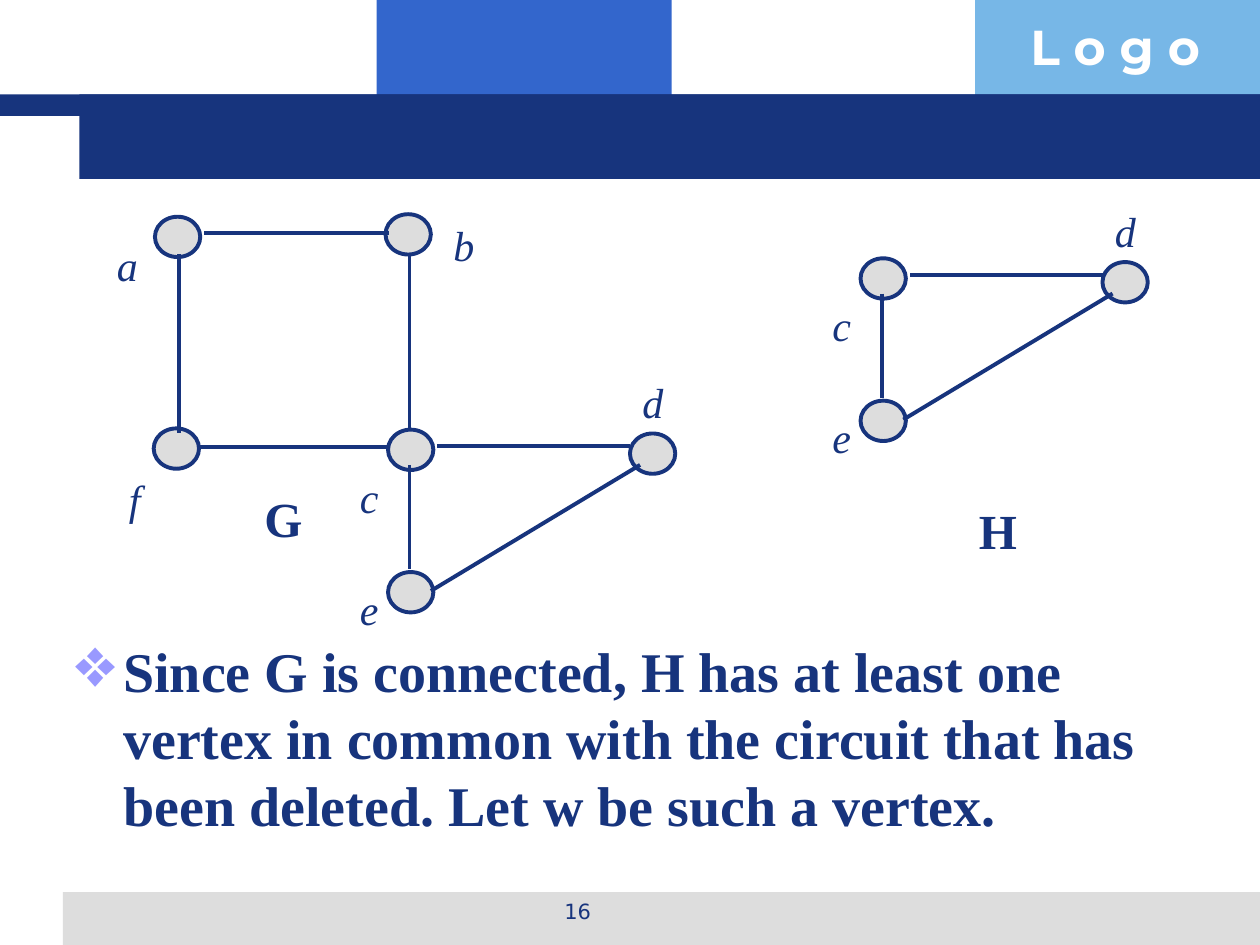
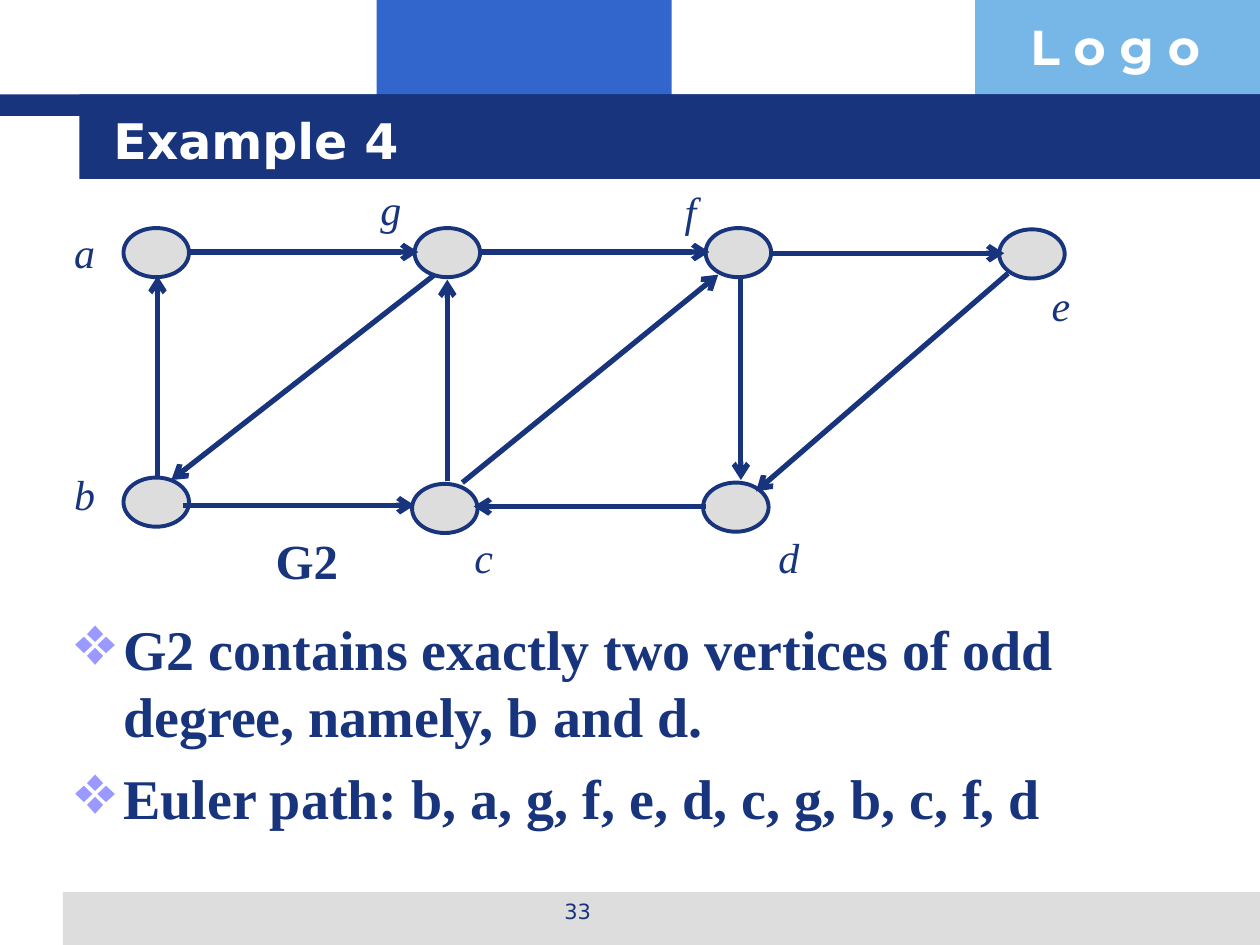
from dataclasses import dataclass

import pptx
import pptx.dml.color
import pptx.enum.shapes
import pptx.enum.text
import pptx.oxml.ns
import pptx.presentation
import pptx.shapes.autoshape
import pptx.slide
import pptx.text.text
import pptx.util
from lxml import etree

Inches = pptx.util.Inches
Pt = pptx.util.Pt
RGBColor = pptx.dml.color.RGBColor
Align = pptx.enum.text.PP_ALIGN
Anchor = pptx.enum.text.MSO_ANCHOR
AutoSize = pptx.enum.text.MSO_AUTO_SIZE
ShapeType = pptx.enum.shapes.MSO_SHAPE
qn = pptx.oxml.ns.qn

NAVY = RGBColor(0x17, 0x34, 0x7D)
BLUE = RGBColor(0x33, 0x66, 0xCC)
SKY = RGBColor(0x77, 0xB7, 0xE7)
GREY = RGBColor(0xDD, 0xDD, 0xDD)
LILAC = RGBColor(0x99, 0x99, 0xFF)
WHITE = RGBColor(0xFF, 0xFF, 0xFF)

SERIF = "Times New Roman"
SANS = "DejaVu Sans"
OUTLINE_WIDTH = 2.25
LABEL_WIDTH, LABEL_HEIGHT = 0.36, 0.5
CAPTION_WIDTH, CAPTION_HEIGHT = 0.9, 0.57
BODY_INDENT = Inches(0.38)


@dataclass(frozen=True)
class Box:
    left: float
    top: float
    width: float
    height: float

    def lengths(self) -> list[int]:
        return [Inches(value) for value in (self.left, self.top, self.width, self.height)]


@dataclass(frozen=True)
class TextStyle:
    font: str
    size: int
    color: RGBColor = NAVY
    bold: bool = False
    italic: bool = False


@dataclass(frozen=True)
class Band:
    box: Box
    color: RGBColor


@dataclass(frozen=True)
class Vertex:
    name: str
    left: float
    top: float
    label_left: float
    label_top: float


@dataclass(frozen=True)
class Edge:
    start_x: float
    start_y: float
    end_x: float
    end_y: float


@dataclass(frozen=True)
class Graph:
    vertices: list[Vertex]
    edges: list[Edge]
    vertex_width: float
    vertex_height: float
    edge_width: float = OUTLINE_WIDTH
    directed: bool = False


TITLE_STYLE = TextStyle(SANS, 28, WHITE, bold=True)
LOGO_STYLE = TextStyle("Montserrat", 28, WHITE, bold=True)
NUMBER_STYLE = TextStyle(SANS, 12)
BODY_STYLE = TextStyle(SERIF, 32, bold=True)
LABEL_STYLE = TextStyle(SERIF, 24, italic=True)
CAPTION_STYLE = TextStyle(SERIF, 28, bold=True)

BANDS = [
    Band(Box(2.99, 0, 2.34, 0.92), BLUE),
    Band(Box(7.74, 0, 2.26, 0.92), SKY),
    Band(Box(0.5, 7.08, 9.5, 0.42), GREY),
    Band(Box(0, 0.75, 10, 0.17), NAVY),
    Band(Box(0.63, 0.75, 9.37, 0.67), NAVY),
]

SQUARE = Graph(
    vertices=[
        Vertex("a", 1.23, 1.72, 0.83, 1.85),
        Vertex("b", 3.06, 1.70, 3.50, 1.69),
        Vertex("f", 1.22, 3.40, 0.89, 3.71),
    ],
    edges=[
        Edge(1.62, 1.85, 3.09, 1.85),
        Edge(3.25, 2.02, 3.25, 3.44),
        Edge(3.09, 3.55, 1.56, 3.55),
        Edge(1.42, 2.02, 1.42, 3.44),
    ],
    vertex_width=0.36,
    vertex_height=0.32,
)
TRIANGLE = Graph(
    vertices=[
        Vertex("c", 3.08, 3.41, 2.75, 3.69),
        Vertex("d", 5.00, 3.44, 5.00, 2.94),
        Vertex("e", 3.08, 4.54, 2.75, 4.58),
    ],
    edges=[
        Edge(5.08, 3.69, 3.42, 4.69),
        Edge(3.25, 3.69, 3.25, 4.52),
        Edge(5.00, 3.54, 3.47, 3.54),
    ],
    vertex_width=0.36,
    vertex_height=0.32,
)
H_SHIFT = (3.75, -1.36)

G2 = Graph(
    vertices=[
        Vertex("a", 0.98, 1.81, 0.49, 1.75),
        Vertex("b", 0.98, 3.79, 0.49, 3.67),
        Vertex("c", 3.27, 3.84, 3.66, 4.17),
        Vertex("d", 5.58, 3.83, 6.08, 4.17),
        Vertex("e", 7.93, 1.82, 8.24, 2.17),
        Vertex("f", 5.60, 1.81, 5.30, 1.42),
        Vertex("g", 3.29, 1.81, 2.92, 1.41),
    ],
    edges=[
        Edge(1.25, 3.79, 1.25, 2.19),
        Edge(1.49, 2.00, 3.32, 2.00),
        Edge(3.80, 2.00, 5.63, 2.00),
        Edge(6.13, 2.01, 7.97, 2.01),
        Edge(8.00, 2.17, 6.00, 3.90),
        Edge(5.60, 4.02, 3.76, 4.02),
        Edge(3.55, 3.82, 3.55, 2.22),
        Edge(3.45, 2.18, 1.36, 3.81),
        Edge(1.45, 4.01, 3.29, 4.01),
        Edge(3.67, 3.83, 5.70, 2.18),
        Edge(5.88, 2.21, 5.88, 3.81),
    ],
    vertex_width=0.52,
    vertex_height=0.39,
    edge_width=3,
    directed=True,
)


def add_run(paragraph: pptx.text.text._Paragraph, text: str, style: TextStyle) -> None:
    run = paragraph.add_run()
    run.text = text
    run.font.name = style.font
    run.font.size = Pt(style.size)
    run.font.bold = style.bold
    run.font.italic = style.italic
    run.font.color.rgb = style.color


def add_text(
    slide: pptx.slide.Slide,
    box: Box,
    text: str,
    style: TextStyle,
    alignment: Align = Align.LEFT,
    anchor: Anchor = Anchor.TOP,
    wrap: bool = True,
) -> pptx.shapes.autoshape.Shape:
    shape = slide.shapes.add_textbox(*box.lengths())
    frame = shape.text_frame
    frame.word_wrap = wrap
    frame.auto_size = AutoSize.NONE if wrap else AutoSize.SHAPE_TO_FIT_TEXT
    frame.vertical_anchor = anchor
    frame.paragraphs[0].alignment = alignment
    add_run(frame.paragraphs[0], text, style)
    return shape


def add_filled_shape(
    slide: pptx.slide.Slide, kind: ShapeType, box: Box, color: RGBColor
) -> pptx.shapes.autoshape.Shape:
    shape = slide.shapes.add_shape(kind, *box.lengths())
    shape.shadow.inherit = False
    shape.fill.solid()
    shape.fill.fore_color.rgb = color
    shape.line.fill.background()
    return shape


def add_edge(slide: pptx.slide.Slide, edge: Edge, graph: Graph, shift: tuple[float, float]) -> None:
    connector = slide.shapes.add_connector(
        pptx.enum.shapes.MSO_CONNECTOR.STRAIGHT,
        Inches(edge.start_x + shift[0]),
        Inches(edge.start_y + shift[1]),
        Inches(edge.end_x + shift[0]),
        Inches(edge.end_y + shift[1]),
    )
    connector.line.color.rgb = NAVY
    connector.line.width = Pt(graph.edge_width)
    properties = connector.element.spPr
    if graph.directed:
        etree.SubElement(properties.find(qn("a:ln")), qn("a:tailEnd"), type="arrow")
    etree.SubElement(properties, qn("a:effectLst"))


def add_graph(
    slide: pptx.slide.Slide, graph: Graph, shift: tuple[float, float] = (0, 0)
) -> None:
    shift_x, shift_y = shift
    for vertex in graph.vertices:
        box = Box(
            vertex.left + shift_x, vertex.top + shift_y, graph.vertex_width, graph.vertex_height
        )
        ellipse = add_filled_shape(slide, ShapeType.OVAL, box, GREY)
        ellipse.line.color.rgb = NAVY
        ellipse.line.width = Pt(OUTLINE_WIDTH)
    for edge in graph.edges:
        add_edge(slide, edge, graph, shift)
    for vertex in graph.vertices:
        box = Box(
            vertex.label_left + shift_x, vertex.label_top + shift_y, LABEL_WIDTH, LABEL_HEIGHT
        )
        add_text(slide, box, vertex.name, LABEL_STYLE, Align.CENTER, Anchor.MIDDLE, wrap=False)


def add_caption(slide: pptx.slide.Slide, left: float, top: float, text: str) -> None:
    add_text(slide, Box(left, top, CAPTION_WIDTH, CAPTION_HEIGHT), text, CAPTION_STYLE)


def add_bullets(slide: pptx.slide.Slide, box: Box, items: list[str]) -> None:
    frame = slide.shapes.add_textbox(*box.lengths()).text_frame
    frame.word_wrap = True
    for index, item in enumerate(items):
        paragraph = frame.add_paragraph() if index else frame.paragraphs[0]
        properties = paragraph._p.get_or_add_pPr()
        properties.set("marL", str(BODY_INDENT))
        properties.set("indent", str(-BODY_INDENT))
        bullet_color = etree.SubElement(properties, qn("a:buClr"))
        etree.SubElement(bullet_color, qn("a:srgbClr"), val=str(LILAC))
        etree.SubElement(properties, qn("a:buSzPct"), val="125000")
        etree.SubElement(properties, qn("a:buChar"), char="❖")
        if index:
            paragraph.space_before = Pt(8)
        add_run(paragraph, item, BODY_STYLE)


def move_bands_to_master(
    presentation: pptx.presentation.Presentation, slide: pptx.slide.Slide
) -> None:
    shapes = [add_filled_shape(slide, ShapeType.RECTANGLE, band.box, band.color) for band in BANDS]
    shapes.append(add_text(slide, Box(8.08, 0.08, 1.93, 0.57), "L o g o", LOGO_STYLE))
    master_tree = presentation.slide_master.element.cSld.spTree
    for identifier, shape in enumerate(shapes, start=100):
        shape.element.nvSpPr.cNvPr.set("id", str(identifier))
        master_tree.append(shape.element)


def add_slide_number(slide: pptx.slide.Slide, number: int) -> None:
    add_text(slide, Box(3.42, 7.08, 2.33, 0.35), str(number), NUMBER_STYLE, Align.CENTER)


def set_title(slide: pptx.slide.Slide, text: str) -> None:
    title = slide.shapes.title
    title.left, title.top, title.width, title.height = Box(0.8, 0.8, 8.53, 0.62).lengths()
    title.text_frame.auto_size = AutoSize.NONE
    title.text_frame.vertical_anchor = Anchor.MIDDLE
    paragraph = title.text_frame.paragraphs[0]
    paragraph.alignment = Align.LEFT
    add_run(paragraph, text, TITLE_STYLE)


def build_subgraph_slide(slide: pptx.slide.Slide) -> None:
    add_slide_number(slide, 16)
    add_bullets(slide, Box(0.5, 5, 9, 1.89), [
        "Since G is connected, H has at least one vertex in common with the circuit "
        "that has been deleted. Let w be such a vertex.",
    ])
    add_graph(slide, SQUARE)
    add_graph(slide, TRIANGLE)
    add_graph(slide, TRIANGLE, H_SHIFT)
    add_caption(slide, 2, 3.83, "G")
    add_caption(slide, 7.67, 3.92, "H")


def build_euler_path_slide(slide: pptx.slide.Slide) -> None:
    set_title(slide, "Example 4")
    add_slide_number(slide, 33)
    add_bullets(slide, Box(0.5, 4.83, 9, 2.06), [
        "G2 contains exactly two vertices of odd degree, namely, b and d.",
        "Euler path: b, a, g, f, e, d, c, g, b, c, f, d",
    ])
    add_graph(slide, G2)
    add_caption(slide, 2.09, 4.16, "G2")


def main() -> None:
    presentation = pptx.Presentation()
    presentation.slide_width, presentation.slide_height = Inches(10), Inches(7.5)
    title_only, blank = presentation.slide_layouts[5], presentation.slide_layouts[6]
    subgraph_slide = presentation.slides.add_slide(blank)
    move_bands_to_master(presentation, subgraph_slide)
    build_subgraph_slide(subgraph_slide)
    build_euler_path_slide(presentation.slides.add_slide(title_only))
    presentation.save("out.pptx")


if __name__ == "__main__":
    main()
